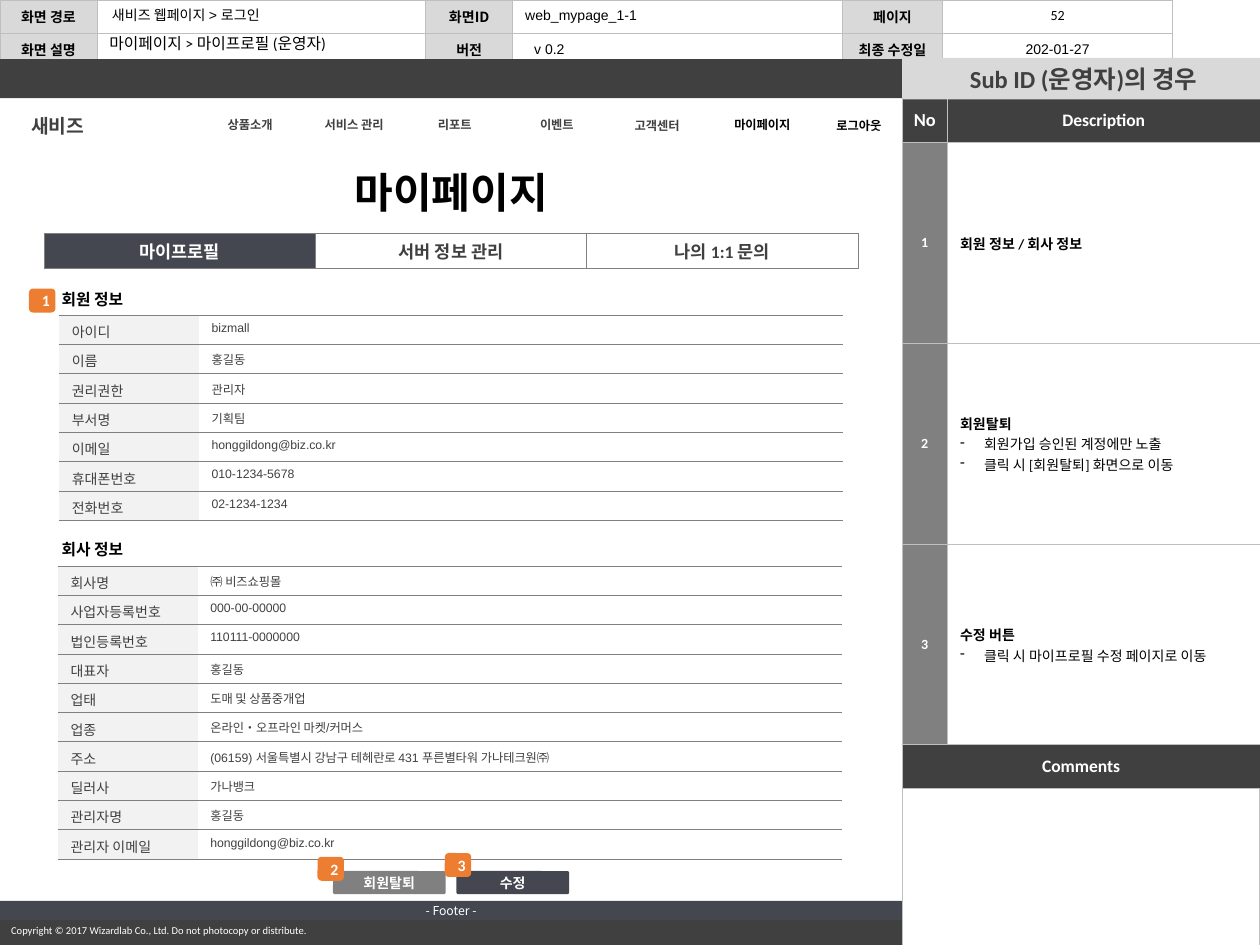
import lxml.etree
import pptx
import pptx.dml.color
import pptx.enum.shapes
import pptx.enum.text
import pptx.oxml.ns
import pptx.util

color = pptx.dml.color.RGBColor.from_string
qn = pptx.oxml.ns.qn
MIDDLE = pptx.enum.text.MSO_ANCHOR.MIDDLE
TOP = pptx.enum.text.MSO_ANCHOR.TOP
CENTER = pptx.enum.text.PP_ALIGN.CENTER
LEFT = pptx.enum.text.PP_ALIGN.LEFT
RECT = pptx.enum.shapes.MSO_SHAPE.RECTANGLE
ROUND = pptx.enum.shapes.MSO_SHAPE.ROUNDED_RECTANGLE
WHITE, BLACK, DARK, SLATE = "FFFFFF", "000000", "404040", "444750"
GRAY, RULE, PALE, LABEL, ORANGE = "808080", "BFBFBF", "D9D9D9", "F2F2F2", "ED7D31"

# The slide is a grid of 1000 columns by 750 rows
deck = pptx.Presentation()
deck.slide_width, deck.slide_height = pptx.util.Inches(10), pptx.util.Inches(7.5)
unit = deck.slide_width / 1000
page = deck.slides.add_slide(deck.slide_layouts[6])
SPLIT, SIDE = 716, 284


def write(frame, text, size=8, ink=BLACK, bold=False, align=LEFT, font="Calibri",
          indent=0, spacing=None):
    """Write lines of text; a line that starts with a tab is a bullet."""
    for number, line in enumerate(text.split("\n")):
        para = frame.paragraphs[0] if number == 0 else frame.add_paragraph()
        bullet = line.startswith("\t")
        props = para._p.get_or_add_pPr()
        if bullet:
            props.set("marL", str(int(19 * unit)))
            props.set("indent", str(int(-19 * unit)))
            lxml.etree.SubElement(props, qn("a:buChar"), char="-")
        elif indent:
            props.set("marL", str(int(indent * unit)))
        para.alignment = align
        para.line_spacing = spacing
        para.font.size = pptx.util.Pt(size)
        para.font.name = font
        para.font.bold = bold and not bullet
        para.font.color.rgb = color(ink)
        if line:
            para.add_run().text = line.strip("\t")
        else:
            lxml.etree.SubElement(para._p, qn("a:endParaRPr"), sz=str(size * 100))


def grid(left, top, widths, height, cells, edge, sides="LRTB", weight=0.5,
         anchor=MIDDLE, insets=(7, 5, 7, 5)):
    """Add a table; each cell is (text, fill, style)."""
    frame = page.shapes.add_table(
        len(cells), len(widths), int(left * unit), int(top * unit),
        int(sum(widths) * unit), int(height * len(cells) * unit))
    table = frame.table
    table.first_row = table.horz_banding = False
    for column, width in zip(table.columns, widths):
        column.width = int(width * unit)
    for r, row in enumerate(cells):
        table.rows[r].height = int(height * unit)
        for c, (text, fill, style) in enumerate(row):
            cell = table.cell(r, c)
            cell.vertical_anchor = anchor
            (cell.margin_left, cell.margin_top, cell.margin_right,
             cell.margin_bottom) = [int(inset * unit) for inset in insets]
            props = cell._tc.get_or_add_tcPr()
            for side in "LRTB":
                line = lxml.etree.SubElement(props, qn("a:ln" + side),
                                             w=str(int(weight * 12700)))
                if side in sides:
                    solid = lxml.etree.SubElement(line, qn("a:solidFill"))
                    lxml.etree.SubElement(solid, qn("a:srgbClr"), val=edge)
                else:
                    lxml.etree.SubElement(line, qn("a:noFill"))
            if fill:
                cell.fill.solid()
                cell.fill.fore_color.rgb = color(fill)
            else:
                cell.fill.background()
            write(cell.text_frame, text, **style)


# Screen information at the top
head = dict(bold=True, align=CENTER, font="Arial")
noto_head = dict(head, font="Noto Sans CJK KR")
plain = dict(font="Arial")
grid(0, 0, [77, 261, 69, 262, 79, 183], 23.5, [
    [("화면 경로", PALE, head), ("", None, plain), ("화면ID", PALE, noto_head),
     ("", None, plain), ("페이지", PALE, head), ("", None, plain)],
    [("화면 설명", PALE, head), ("", None, plain), ("버전", PALE, head),
     ("v 0.2", None, dict(plain, indent=10)), ("최종 수정일", PALE, head),
     ("202-01-27", None, dict(plain, align=CENTER))],
], RULE)

# Description column
title = dict(size=10, ink=WHITE, bold=True, align=CENTER)
grid(SPLIT, 78, [36, 248], 35,
     [[("No", DARK, dict(title, size=10.5)), ("Description", DARK, title)]], RULE)
notes = ["회원 정보 / 회사 정보",
         "회원탈퇴\n\t회원가입 승인된 계정에만 노출\n\t클릭 시 [회원탈퇴] 화면으로 이동",
         "수정 버튼\n\t클릭 시 마이프로필 수정 페이지로 이동"]
grid(SPLIT, 113, [36, 248], 159.5,
     [[(str(n), GRAY, dict(title, size=8)), (note, WHITE, dict(bold=True))]
      for n, note in enumerate(notes, 1)], RULE, insets=(10, 5, 10, 5))

# Tabs
tab = dict(title, ink=DARK)
grid(35, 185, [215.3] * 3, 27,
     [[("마이프로필", SLATE, title), ("서버 정보 관리", WHITE, tab),
       ("나의 1:1 문의", WHITE, tab)]],
     GRAY, weight=0.25, insets=(0, 4, 0, 4))

# Company and member profiles
company = [
    ("회사명", "㈜ 비즈쇼핑몰"), ("사업자등록번호", "000-00-00000"),
    ("법인등록번호", "110111-0000000"), ("대표자", "홍길동"),
    ("업태", "도매 및 상품중개업"), ("업종", "온라인•오프라인 마켓/커머스"),
    ("주소", "(06159) 서울특별시 강남구 테헤란로 431 푸른별타워 가나테크원㈜"),
    ("딜러사", "가나뱅크"), ("관리자명", "홍길동"),
    ("관리자 이메일", "honggildong@biz.co.kr")]
member = [
    ("아이디", "bizmall"), ("이름", "홍길동"), ("권리권한", "관리자"),
    ("부서명", "기획팀"), ("이메일", "honggildong@biz.co.kr"),
    ("휴대폰번호", "010-1234-5678"), ("전화번호", "02-1234-1234")]
entry = dict(ink=DARK, font="Arial")
for left, top, profile in [(46, 449, company), (47, 250, member)]:
    grid(left, top, [111, 511], 23.3,
         [[(name, LABEL, entry), (value, WHITE, dict(entry, size=7))]
          for name, value in profile],
         GRAY, sides="TB", weight=0.25, anchor=TOP, insets=(10, 5, 10, 2))

# Bars, panels, buttons and numbered badges
button = dict(title, size=8)
badge = dict(title, size=9)
for kind, left, top, width, height, fill, edge, text, style in [
    (RECT, 0, 47, 1000, 31, DARK, None, "", {}),
    (RECT, 0, 730, 1000, 20, DARK, None, "", {}),
    (RECT, SPLIT, 591, SIDE, 159, WHITE, RULE, "", {}),
    (RECT, 0, 79, SPLIT, 39, WHITE, None, "", {}),
    (RECT, SPLIT, 46, SIDE, 33, PALE, None, " Sub ID (운영자)의 경우",
     dict(tab, size=14)),
    (RECT, 0, 715, SPLIT, 15, SLATE, None, "- Footer -",
     dict(size=7, ink=WHITE, align=CENTER, font="Noto Sans CJK KR")),
    (ROUND, 363, 692, 88, 17, SLATE, SLATE, "수정", button),
    (ROUND, 265, 692, 88, 17, GRAY, GRAY, "회원탈퇴", button),
    (ROUND, 23, 229, 21, 19, ORANGE, None, "1", badge),
    (ROUND, 252, 680, 21, 19, ORANGE, None, "2", badge),
    (ROUND, 353, 677, 21, 19, ORANGE, None, "3", badge),
]:
    box = page.shapes.add_shape(kind, *[int(v * unit) for v in (left, top, width, height)])
    box.shadow.inherit = False
    box.fill.solid()
    box.fill.fore_color.rgb = color(fill)
    if edge:
        box.line.color.rgb = color(edge)
        box.line.width = pptx.util.Pt(0.5 if kind == RECT else 1)
    else:
        box.line.fill.background()
    if style is button:
        box.adjustments[0] = 0.05
    if text:
        box.text_frame.vertical_anchor = MIDDLE
        write(box.text_frame, text, **style)

# Comments heading and the rule beside the description column
grid(SPLIT, 591, [SIDE], 35, [[("Comments", DARK, title)]], RULE)
rule = page.shapes.add_connector(
    pptx.enum.shapes.MSO_CONNECTOR.STRAIGHT,
    *[int(v * unit) for v in (SPLIT, 78, SPLIT, 750)])
rule.line.color.rgb = color(RULE)
rule.line.width = pptx.util.Pt(0.5)
lxml.etree.SubElement(rule._element.spPr, qn("a:effectLst"))

# Menu, headings and captions
menu = dict(size=7, ink=DARK, bold=True, align=CENTER)
active = dict(menu, ink=BLACK)
section = dict(size=9, bold=True)
for left, top, width, height, wrap, text, style in [
    (-1, 728, 295, 20, False,
     "Copyright © 2017 Wizardlab Co., Ltd. Do not photocopy or distribute.",
     dict(size=6, ink=WHITE)),
    (758, 0, 163, 24, True, "52", dict(align=CENTER)),
    (79, 0, 259, 24, True, "새비즈 웹페이지 > 로그인", plain),
    (77, 24, 261, 23, True, "마이페이지 > 마이프로필 (운영자)", dict(size=9, spacing=0.9)),
    (407, 1, 262, 23, True, "web_mypage_1-1", dict(plain, spacing=0.9)),
    (13, 85, 66, 29, False, "새비즈", dict(menu, size=11)),
    (169, 88, 59, 22, False, "상품소개", menu),
    (245, 88, 72, 22, False, "서비스 관리", menu),
    (336, 88, 50, 22, False, "리포트", menu),
    (417, 88, 50, 22, False, "이벤트", menu),
    (492, 89, 59, 22, False, "고객센터", menu),
    (569, 88, 72, 22, False, "마이페이지", active),
    (654, 89, 59, 22, False, "로그아웃", dict(active, align=LEFT)),
    (264, 127, 188, 50, False, "마이페이지", dict(active, size=24)),
    (39, 225, 73, 25, False, "회원 정보", section),
    (39, 423, 73, 25, False, "회사 정보", section),
]:
    box = page.shapes.add_textbox(*[int(v * unit) for v in (left, top, width, height)])
    box.text_frame.word_wrap = wrap
    box.text_frame.vertical_anchor = MIDDLE
    write(box.text_frame, text, **style)

deck.save("out.pptx")
